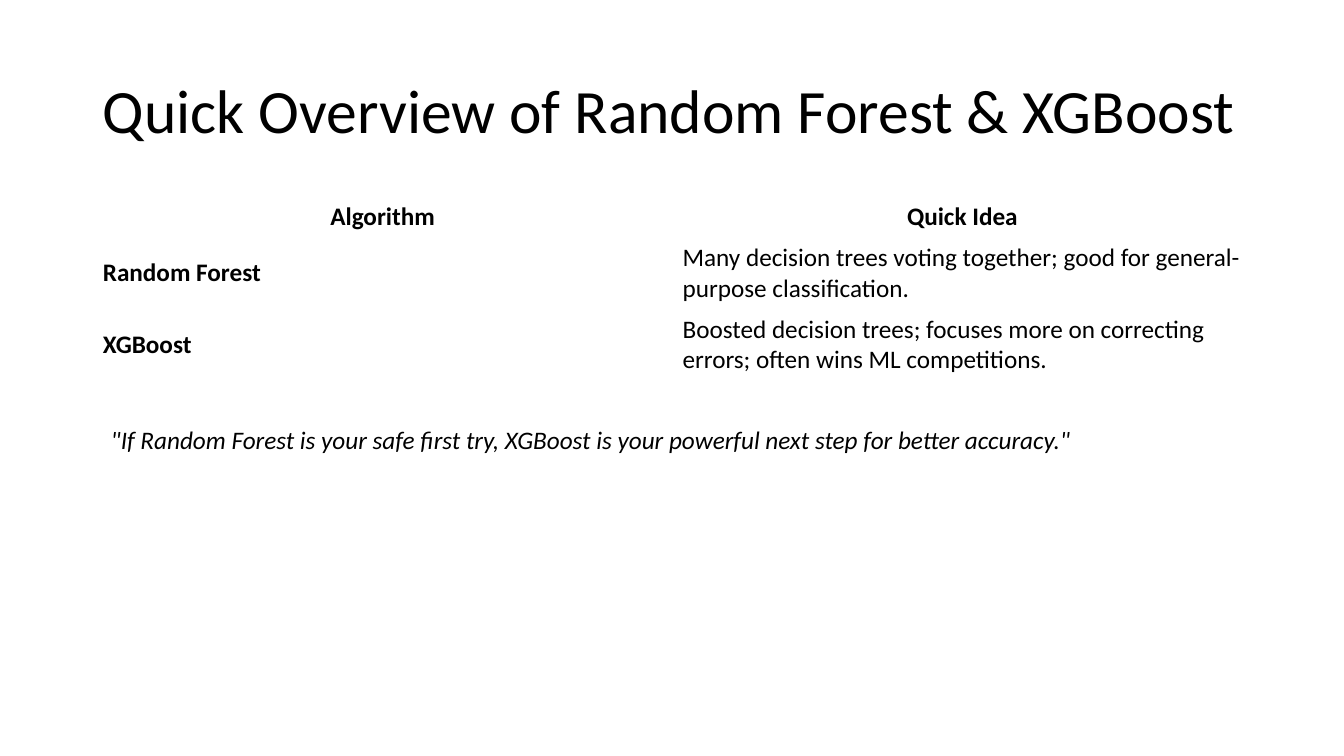
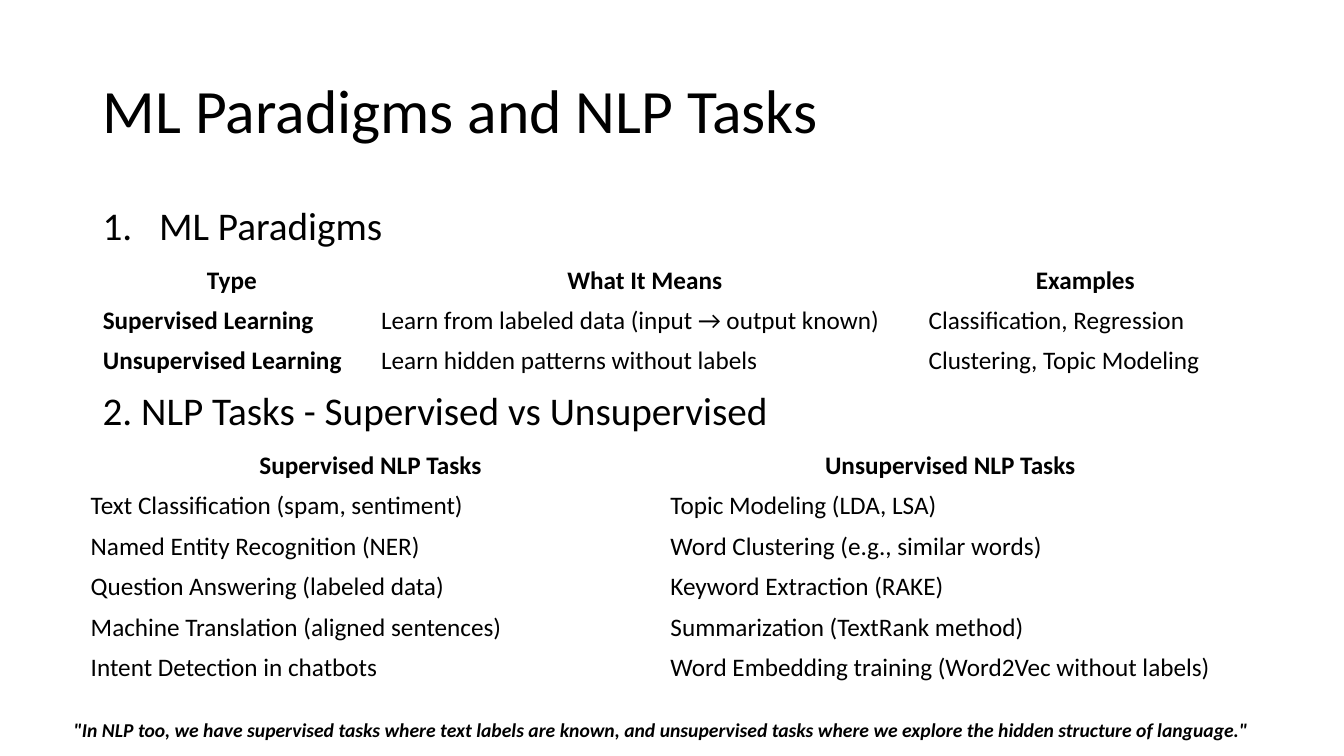
import pptx
import pptx.dml.color
import pptx.enum.text
import pptx.util
from lxml import etree

Inches = pptx.util.Inches
Pt = pptx.util.Pt
PP_ALIGN = pptx.enum.text.PP_ALIGN
MIDDLE = pptx.enum.text.MSO_ANCHOR.MIDDLE

INK = pptx.dml.color.RGBColor(0x00, 0x00, 0x00)
FONT = "Calibri"
LEFT = 0.92
CONTENT_WIDTH = 11.5
HALVES = [CONTENT_WIDTH / 2] * 2
ROW_HEIGHT = 0.4

ALGORITHMS = [
    ["Algorithm", "Quick Idea"],
    ["Random Forest", "Many decision trees voting together; good for general-purpose classification."],
    ["XGBoost", "Boosted decision trees; focuses more on correcting errors; often wins ML competitions."],
]
PARADIGMS = [
    ["Type", "What It Means", "Examples"],
    ["Supervised Learning", "Learn from labeled data (input → output known)", "Classification, Regression"],
    ["Unsupervised Learning", "Learn hidden patterns without labels", "Clustering, Topic Modeling"],
]
NLP_TASKS = [
    ["Supervised NLP Tasks", "Unsupervised NLP Tasks"],
    ["Text Classification (spam, sentiment)", "Topic Modeling (LDA, LSA)"],
    ["Named Entity Recognition (NER)", "Word Clustering (e.g., similar words)"],
    ["Question Answering (labeled data)", "Keyword Extraction (RAKE)"],
    ["Machine Translation (aligned sentences)", "Summarization (TextRank method)"],
    ["Intent Detection in chatbots", "Word Embedding training (Word2Vec without labels)"],
]


def write(frame, text, size=18, bold=False, italic=False, align=PP_ALIGN.LEFT, spacing=None):
    frame.word_wrap = True
    paragraph = frame.paragraphs[0]
    paragraph.alignment = align
    paragraph.line_spacing = spacing
    run = paragraph.add_run()
    run.text = text
    run.font.name = FONT
    run.font.size = Pt(size)
    run.font.bold = bold
    run.font.italic = italic
    run.font.color.rgb = INK
    return paragraph


def add_titled_slide(deck, heading):
    slide = deck.slides.add_slide(deck.slide_layouts[5])
    title = slide.shapes.title
    title.left, title.top = Inches(LEFT), Inches(0.4)
    title.width, title.height = Inches(CONTENT_WIDTH), Inches(1.45)
    title.text_frame.auto_size = pptx.enum.text.MSO_AUTO_SIZE.NONE
    title.text_frame.vertical_anchor = MIDDLE
    write(title.text_frame, heading, size=44, spacing=0.9)
    return slide


def add_text(slide, text, left, top, width, height, **style):
    box = slide.shapes.add_textbox(Inches(left), Inches(top), Inches(width), Inches(height))
    return write(box.text_frame, text, **style)


def number(paragraph, indent):
    properties = paragraph._p.get_or_add_pPr()
    properties.set("marL", str(Inches(indent)))
    properties.set("indent", str(-Inches(indent)))
    tag = "{http://schemas.openxmlformats.org/drawingml/2006/main}buAutoNum"
    etree.SubElement(properties, tag, type="arabicPeriod")


def add_grid(slide, rows, left, top, widths, body_height=ROW_HEIGHT, bold_labels=False):
    heights = [ROW_HEIGHT] + [body_height] * (len(rows) - 1)
    grid = slide.shapes.add_table(
        len(rows), len(widths), Inches(left), Inches(top),
        Inches(sum(widths)), Inches(sum(heights))).table
    grid.first_row = grid.horz_banding = False
    for column, width in zip(grid.columns, widths):
        column.width = Inches(width)
    for r, (texts, height) in enumerate(zip(rows, heights)):
        grid.rows[r].height = Inches(height)
        for c, text in enumerate(texts):
            cell = grid.cell(r, c)
            cell.fill.background()
            cell.vertical_anchor = MIDDLE
            write(cell.text_frame, text,
                  bold=r == 0 or (bold_labels and c == 0),
                  align=PP_ALIGN.CENTER if r == 0 else PP_ALIGN.LEFT)


def add_overview(deck):
    slide = add_titled_slide(deck, "Quick Overview of Random Forest & XGBoost")
    add_grid(slide, ALGORITHMS, LEFT, 1.95, HALVES, body_height=0.7, bold_labels=True)
    add_text(slide, '"If Random Forest is your safe first try, XGBoost is your powerful '
             'next step for better accuracy."', 1, 4.16, 10.97, 0.4, italic=True)


def add_paradigms(deck):
    slide = add_titled_slide(deck, "ML Paradigms and NLP Tasks")
    section = add_text(slide, "ML Paradigms", LEFT, 2, CONTENT_WIDTH, 0.57, size=28, spacing=0.9)
    number(section, 0.56)
    add_grid(slide, PARADIGMS, LEFT, 2.58, [2.76, 5.43, 3.31], bold_labels=True)
    add_text(slide, "2. NLP Tasks - Supervised vs Unsupervised", LEFT, 3.78, 6.88, 0.57, size=28)
    add_grid(slide, NLP_TASKS, 0.8, 4.42, HALVES)
    add_text(slide, '"In NLP too, we have supervised tasks where text labels are known, and '
             'unsupervised tasks where we explore the hidden structure of language."',
             0.63, 7.07, 12.7, 0.34, size=14, bold=True, italic=True)


def main():
    deck = pptx.Presentation()
    deck.slide_width, deck.slide_height = Inches(13.33), Inches(7.5)
    add_overview(deck)
    add_paradigms(deck)
    deck.save("out.pptx")


if __name__ == "__main__":
    main()
